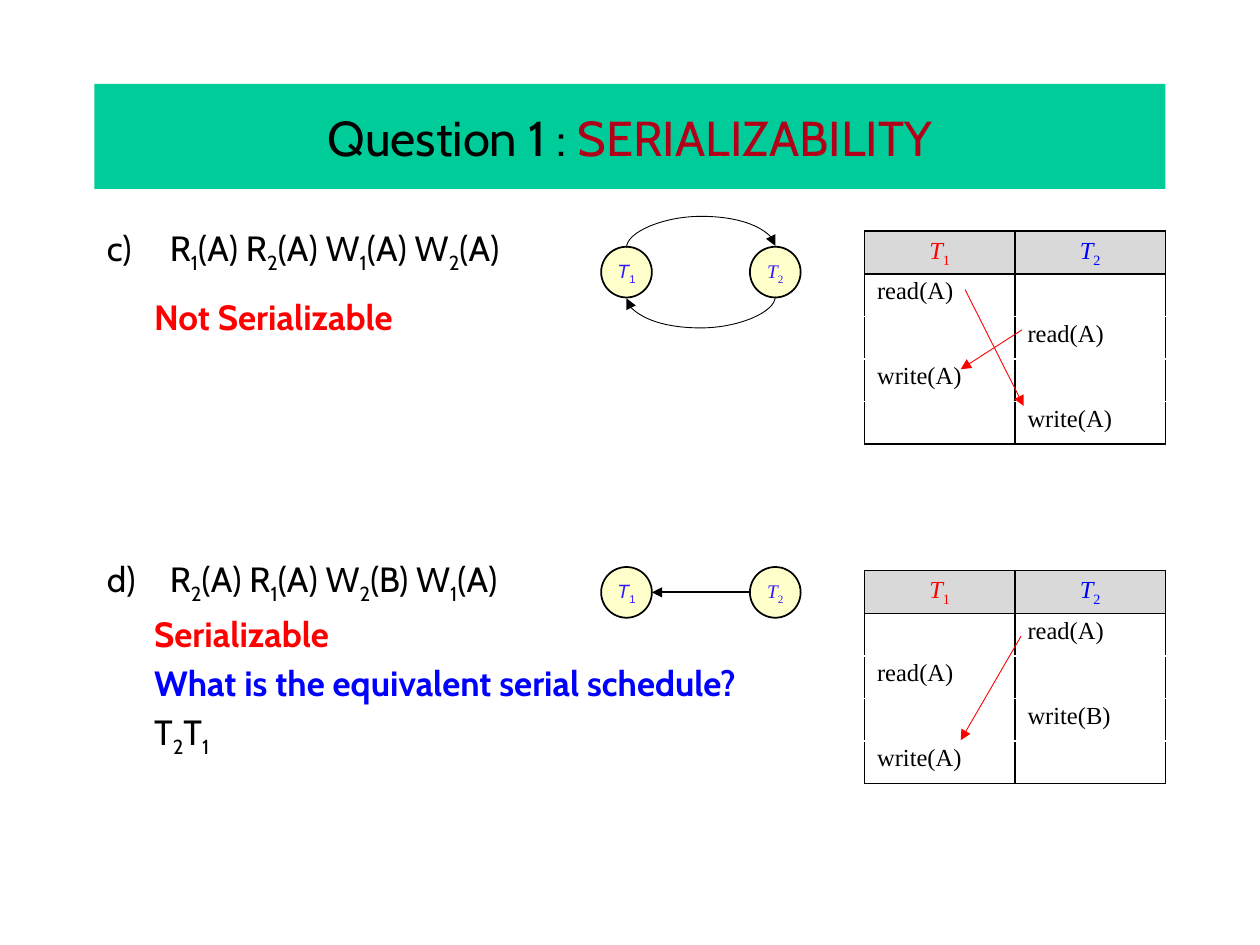
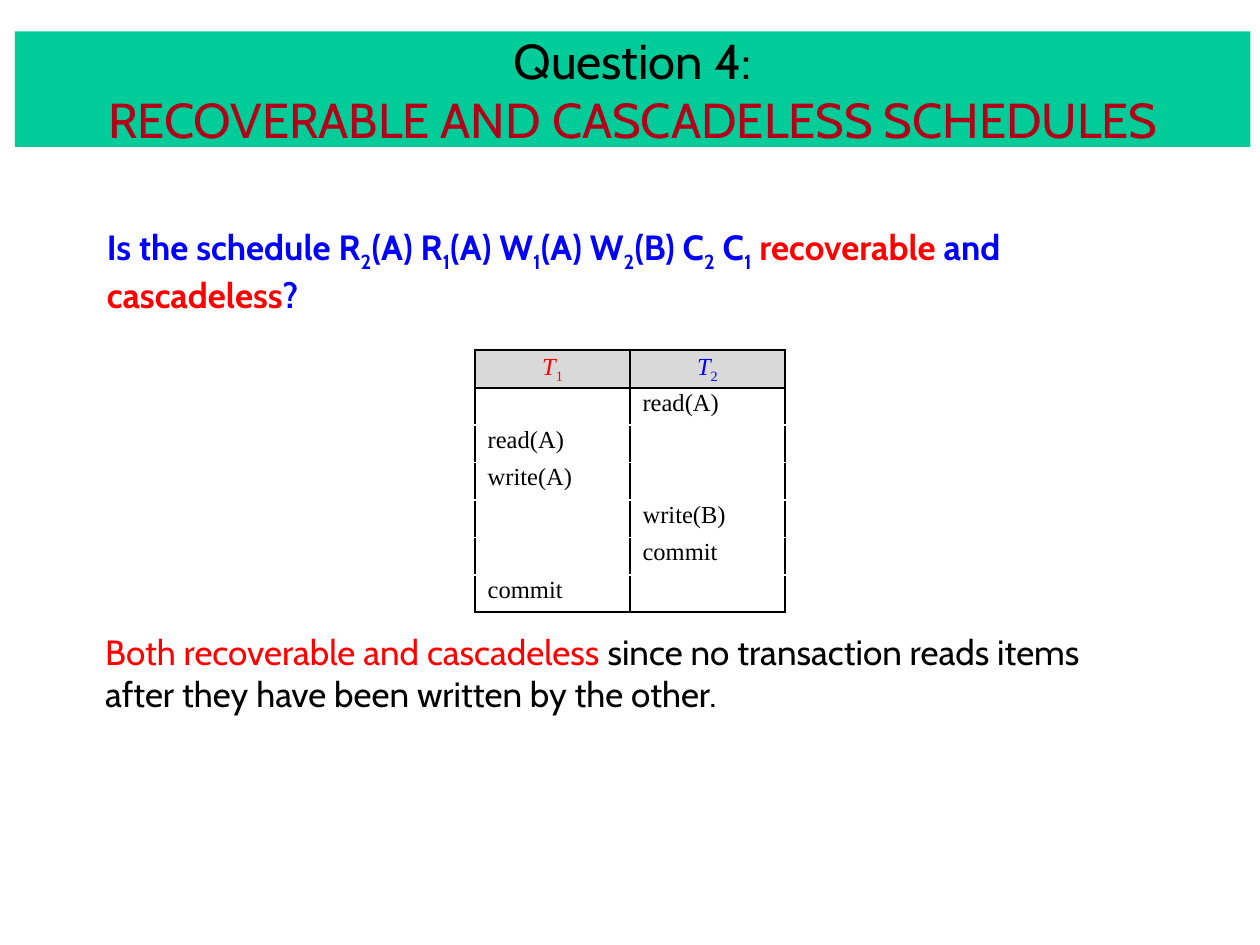
from lxml import etree
from pptx import Presentation
from pptx.dml.color import RGBColor
from pptx.enum import shapes, text
from pptx.oxml.ns import qn
from pptx.util import Pt

BLACK, WHITE, RED, BLUE = "000000", "FFFFFF", "FF0000", "0000FF"
BAND, CRIMSON, HEADER, NODE, NODE_TEXT = "00CC99", "B30019", "D9D9D9", "FFFFCC", "3319FF"
SANS, SERIF, NODE_FONT = "Cabin", "Times New Roman", "Arial"

# Content: a digit after "_" is a subscript; a piece is (words, colour, bold)
SERIALIZABILITY = {
    "title": [("Question 1 : ", BLACK, False), ("SERIALIZABILITY", CRIMSON, False)],
    "band": (54, 48, 612, 60),
    # pieces, space before, letter number or None
    "answers": [
        ([("R_1(A) R_2(A) W_1(A) W_2(A)", BLACK, False)], 4, 3),
        ([("Not Serializable", RED, True)], 12, None),
        ([("R_2(A) R_1(A) W_2(B) W_1(A)", BLACK, False)], 126, 4),
        ([("Serializable", RED, True)], 4, None),
        ([("What is the equivalent serial schedule?", BLUE, True)], 4, None),
        ([("T_2T_1", BLACK, False)], 4, None),
    ],
    "answers_box": (54, 126, 612, 396),
    # each schedule lists (transaction, operation) in order of time
    "cases": [
        {"schedule": [(1, "read(A)"), (2, "read(A)"), (1, "write(A)"), (2, "write(A)")],
         "table_top": 132, "graph_top": 141, "cycle": True,
         "conflicts": [(551.5, 165.5, 585, 232), (584, 188.5, 549, 211)]},
        {"schedule": [(2, "read(A)"), (1, "read(A)"), (2, "write(B)"), (1, "write(A)")],
         "table_top": 326, "graph_top": 324, "cycle": False,
         "conflicts": [(583.5, 363.5, 549, 423)]},
    ],
}
RECOVERABILITY = {
    "title": [("Question 4:\n", BLACK, False),
              ("RECOVERABLE AND CASCADELESS SCHEDULES", CRIMSON, False)],
    "band": (8.5, 18, 706, 66),
    "question": [("Is the schedule R_2(A) R_1(A) W_1(A) W_2(B) C_2 C_1 ", BLUE, True),
                 ("recoverable", RED, True), (" and ", BLUE, True),
                 ("cascadeless", RED, True), ("?", BLUE, True)],
    "question_box": (54, 125.5, 612, 54),
    "schedule": [(2, "read(A)"), (1, "read(A)"), (1, "write(A)"),
                 (2, "write(B)"), (2, "commit"), (1, "commit")],
    "answer": [("Both recoverable and cascadeless", RED, False),
               (" since no transaction reads items after they have been written by the other.",
                BLACK, False)],
    "answer_box": (53, 356.5, 612, 169),
}

NODE_LEFTS, NODE_SIZE, ARC_RISE = (343.5, 428.5), 29, 18


def rgb(color):
    return RGBColor.from_string(color)


def points(*values):
    return [Pt(value) for value in values]


def write(paragraph, pieces, size, font=SANS, italic=False):
    """Add the pieces as runs, lowering each digit that follows "_"."""
    for words, color, bold in pieces:
        head, *rest = words.rstrip("\n").split("_")
        parts = [(head, False)]
        for part in rest:
            parts += [(part[0], True), (part[1:], False)]
        for part, lowered in parts:
            if not part:
                continue
            run = paragraph.add_run()
            run.text = part
            run.font.size, run.font.name = Pt(size), font
            run.font.bold, run.font.italic = bold, italic and not lowered
            run.font.color.rgb = rgb(color)
            if lowered:
                run._r.get_or_add_rPr().set("baseline", "-25000")
        if words.endswith("\n"):
            paragraph.add_line_break()


def add_band(slide, title, box):
    band = slide.shapes.add_shape(shapes.MSO_SHAPE.RECTANGLE, *points(*box))
    band.shadow.inherit = False
    band.fill.solid()
    band.fill.fore_color.rgb = rgb(BAND)
    band.line.fill.background()
    band.text_frame.word_wrap = True
    band.text_frame.vertical_anchor = text.MSO_ANCHOR.MIDDLE
    heading = band.text_frame.paragraphs[0]
    heading.alignment = text.PP_ALIGN.CENTER
    write(heading, title, 28)


def add_paragraphs(slide, box, paragraphs):
    frame = slide.shapes.add_textbox(*points(*box)).text_frame
    frame.word_wrap = True
    for index, (pieces, before, letter, indent) in enumerate(paragraphs):
        paragraph = frame.add_paragraph() if index else frame.paragraphs[0]
        paragraph.space_before = Pt(before)
        properties = paragraph._p.get_or_add_pPr()
        properties.set("marL", str(Pt(indent)))
        properties.set("indent", str(-Pt(indent) if letter else 0))
        if letter:
            etree.SubElement(properties, qn("a:buAutoNum"),
                             type="alphaLcParenR", startAt=str(letter))
        write(paragraph, pieces, 20)


def set_borders(cell, top, bottom):
    properties = cell._tc.get_or_add_tcPr()
    for side, color in (("L", BLACK), ("R", BLACK), ("T", top), ("B", bottom)):
        line = etree.SubElement(properties, qn(f"a:ln{side}"), w=str(Pt(1)))
        fill = etree.SubElement(line, qn("a:solidFill"))
        etree.SubElement(fill, qn("a:srgbClr"), val=color)


def add_schedule(slide, schedule, left, top, column, header, row, inset):
    last = len(schedule)
    table = slide.shapes.add_table(
        last + 1, 2, *points(left, top, 2 * column, header + last * row)).table
    table.first_row = table.horz_banding = False
    for r in range(last + 1):
        table.rows[r].height = Pt(row if r else header)
        for c, name_color in enumerate((RED, BLUE)):
            table.columns[c].width = Pt(column)
            cell = table.cell(r, c)
            cell.margin_top = cell.margin_bottom = Pt(inset)
            set_borders(cell, WHITE if r > 1 else BLACK, WHITE if 0 < r < last else BLACK)
            entry = cell.text_frame.paragraphs[0]
            entry.line_spacing = 0.9
            if r == 0:
                cell.fill.solid()
                cell.fill.fore_color.rgb = rgb(HEADER)
                entry.alignment = text.PP_ALIGN.CENTER
                write(entry, [(f"T_{c + 1}", name_color, False)], 14, SERIF, True)
                continue
            cell.fill.background()
            transaction, operation = schedule[r - 1]
            if transaction == c + 1:
                write(entry, [(operation, BLACK, False)], 14, SERIF)
            else:
                etree.SubElement(entry._p, qn("a:endParaRPr"), sz="1400")


def add_arrow(slide, ends, color, width, kind=shapes.MSO_CONNECTOR.STRAIGHT):
    arrow = slide.shapes.add_connector(kind, *points(*ends))
    arrow.line.color.rgb = rgb(color)
    arrow.line.width = Pt(width)
    etree.SubElement(arrow.line._get_or_add_ln(), qn("a:tailEnd"), type="triangle")
    etree.SubElement(arrow._element.spPr, qn("a:effectLst"))
    return arrow


def add_arc(slide, middle_x, y, span, upward):
    """A one-point-wide curve turned by 90 degrees, bulging by ARC_RISE."""
    ends = (middle_x - 0.5, y - span / 2, middle_x + 0.5, y + span / 2)
    if upward:
        ends = ends[2:] + ends[:2]
    arc = add_arrow(slide, ends, BLACK, 0.5, shapes.MSO_CONNECTOR.CURVE)
    properties = arc._element.spPr
    properties.find(qn("a:xfrm")).set("rot", str(90 * 60000))
    guides = properties.find(qn("a:prstGeom")).find(qn("a:avLst"))
    etree.SubElement(guides, qn("a:gd"), name="adj1", fmla=f"val {ARC_RISE * 100000}")


def add_graph(slide, top, cycle):
    for number, (left, font) in enumerate(zip(NODE_LEFTS, (NODE_FONT, SERIF)), 1):
        node = slide.shapes.add_shape(
            shapes.MSO_SHAPE.OVAL, *points(left, top, NODE_SIZE, NODE_SIZE))
        node.shadow.inherit = False
        node.fill.solid()
        node.fill.fore_color.rgb = rgb(NODE)
        node.line.color.rgb = rgb(BLACK)
        node.line.width = Pt(1)
        frame = node.text_frame
        frame.margin_left = frame.margin_right = 0
        frame.word_wrap = False
        frame.vertical_anchor = text.MSO_ANCHOR.MIDDLE
        frame.paragraphs[0].alignment = text.PP_ALIGN.CENTER
        write(frame.paragraphs[0], [(f"T_{number}", NODE_TEXT, False)], 11, font, True)
    first, second = NODE_LEFTS
    if cycle:
        middle = (first + second + NODE_SIZE) / 2
        add_arc(slide, middle, top, second - first, True)
        add_arc(slide, middle, top + NODE_SIZE, second - first, False)
    else:
        y = top + NODE_SIZE / 2
        add_arrow(slide, (second, y, first + NODE_SIZE, y), BLACK, 1)


def build_serializability(slide, content):
    add_band(slide, content["title"], content["band"])
    add_paragraphs(slide, content["answers_box"],
                   [(*answer, 36 if answer[2] else 27) for answer in content["answers"]])
    for case in content["cases"]:
        add_schedule(slide, case["schedule"], 494, case["table_top"], 86, 23, 24.3, 3.6)
        add_graph(slide, case["graph_top"], case["cycle"])
        for conflict in case["conflicts"]:
            add_arrow(slide, conflict, RED, 0.5)


def build_recoverability(slide, content):
    add_band(slide, content["title"], content["band"])
    add_paragraphs(slide, content["question_box"], [(content["question"], 4, None, 0)])
    add_schedule(slide, content["schedule"], 271.5, 200, 88.5, 20.3, 21.4, 2.2)
    add_paragraphs(slide, content["answer_box"], [(content["answer"], 12, None, 0)])


def main():
    deck = Presentation()
    deck.slide_width, deck.slide_height = Pt(720), Pt(540)
    blank = deck.slide_layouts[6]
    build_serializability(deck.slides.add_slide(blank), SERIALIZABILITY)
    build_recoverability(deck.slides.add_slide(blank), RECOVERABILITY)
    deck.save("out.pptx")


if __name__ == "__main__":
    main()
